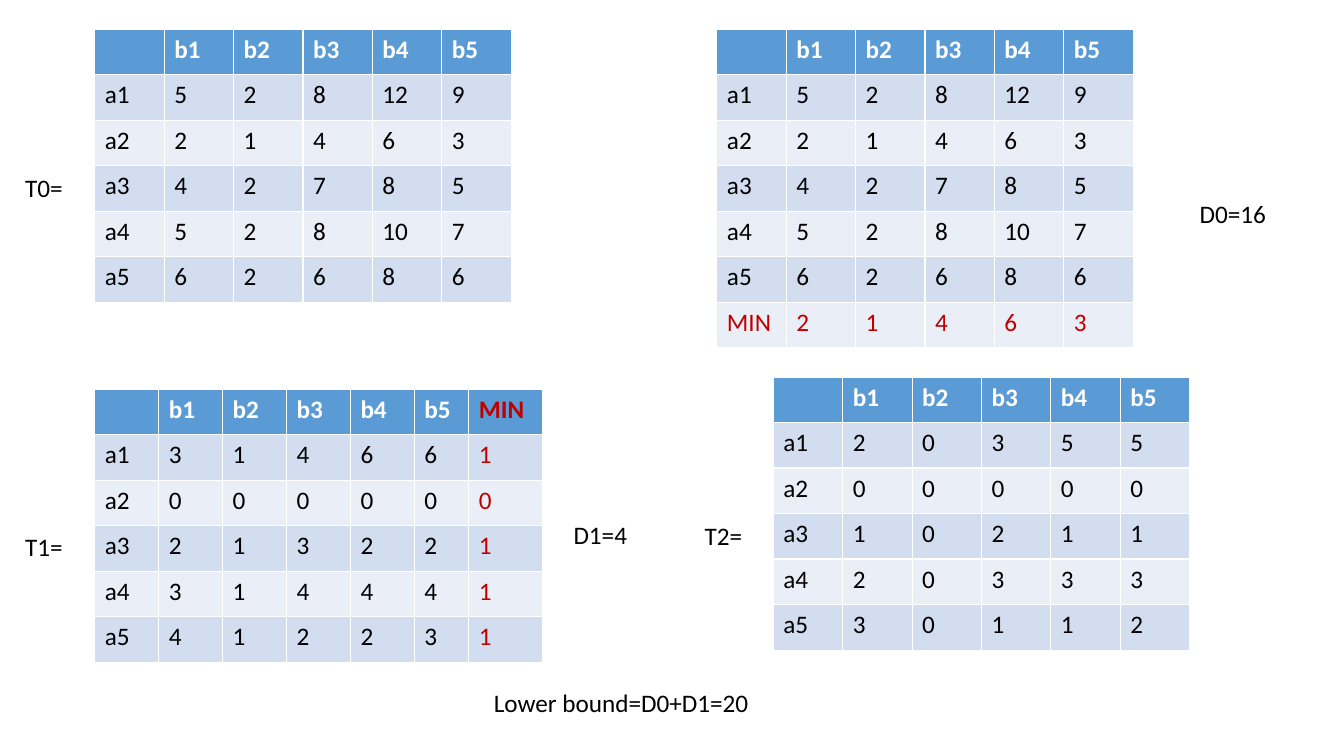
"""Build a slide of matrix reduction tables that lead to a lower bound."""
from pptx import Presentation
from pptx.dml.color import RGBColor
from pptx.enum.text import MSO_AUTO_SIZE as AutoSize
from pptx.util import Inches, Pt

HEADER_BLUE = RGBColor(0x5B, 0x9B, 0xD5)
BAND_DARK = RGBColor(0xD2, 0xDE, 0xEF)
BAND_LIGHT = RGBColor(0xEA, 0xEF, 0xF7)
WHITE = RGBColor(0xFF, 0xFF, 0xFF)
BLACK = RGBColor(0x00, 0x00, 0x00)
MIN_RED = RGBColor(0xC0, 0x00, 0x00)

HEADINGS = ["", "b1", "b2", "b3", "b4", "b5"]
T0 = [
    HEADINGS,
    ["a1", 5, 2, 8, 12, 9],
    ["a2", 2, 1, 4, 6, 3],
    ["a3", 4, 2, 7, 8, 5],
    ["a4", 5, 2, 8, 10, 7],
    ["a5", 6, 2, 6, 8, 6],
]
T0_MINIMA = T0 + [["MIN", 2, 1, 4, 6, 3]]
T1 = [
    HEADINGS + ["MIN"],
    ["a1", 3, 1, 4, 6, 6, 1],
    ["a2", 0, 0, 0, 0, 0, 0],
    ["a3", 2, 1, 3, 2, 2, 1],
    ["a4", 3, 1, 4, 4, 4, 1],
    ["a5", 4, 1, 2, 2, 3, 1],
]
T2 = [
    HEADINGS,
    ["a1", 2, 0, 3, 5, 5],
    ["a2", 0, 0, 0, 0, 0],
    ["a3", 1, 0, 2, 1, 1],
    ["a4", 2, 0, 3, 3, 3],
    ["a5", 3, 0, 1, 1, 2],
]

EVEN_COLUMNS = [4.13 / 6] * 6
T1_COLUMNS = [(4.44 - 0.54 - 0.73) / 5] * 5 + [0.54, 0.73]
ROW_HEIGHT = 2.71 / 6
MATRICES = [
    (T0, 0.94, 0.29, EVEN_COLUMNS),
    (T0_MINIMA, 7.11, 0.29, EVEN_COLUMNS),
    (T1, 0.94, 3.86, T1_COLUMNS),
    (T2, 7.67, 3.74, EVEN_COLUMNS),
]
LABEL_HEIGHT = 0.4
LABELS = [
    ("T0=", 0.15, 1.66, 0.58),
    ("T1=", 0.15, 5.22, 0.58),
    ("T2=", 6.89, 5.11, 0.58),
    ("D0=16", 11.8, 1.92, 0.87),
    ("D1=4", 5.59, 5.1, 0.74),
    ("Lower bound=D0+D1=20", 4.8, 6.77, 2.76),
]
BASE_FONT = {"name": "Calibri", "size": Pt(18), "bold": False}


def write(frame, text, color, **changes):
    paragraph = frame.paragraphs[0]
    run = paragraph.add_run()
    run.text = str(text)
    for attribute, value in {**BASE_FONT, **changes}.items():
        setattr(run.font, attribute, value)
    run.font.color.rgb = color


def add_matrix(slide, rows, left, top, widths):
    table = slide.shapes.add_table(
        len(rows), len(widths), Inches(left), Inches(top),
        Inches(sum(widths)), Inches(ROW_HEIGHT * len(rows))).table
    for column, width in zip(table.columns, widths):
        column.width = Inches(width)
    for r, row in enumerate(rows):
        is_header = r == 0
        band = HEADER_BLUE if is_header else BAND_DARK if r % 2 else BAND_LIGHT
        for c, value in enumerate(row):
            cell = table.cell(r, c)
            cell.fill.solid()
            cell.fill.fore_color.rgb = band
            is_minimum = "MIN" in (row[0], rows[0][c])
            color = MIN_RED if is_minimum else WHITE if is_header else BLACK
            if value != "":
                write(cell.text_frame, value, color, bold=is_header)


def add_label(slide, text, left, top, width):
    frame = slide.shapes.add_textbox(
        Inches(left), Inches(top), Inches(width), Inches(LABEL_HEIGHT)).text_frame
    frame.word_wrap = False
    frame.auto_size = AutoSize.SHAPE_TO_FIT_TEXT
    write(frame, text, BLACK)


def main():
    deck = Presentation()
    deck.slide_width, deck.slide_height = Inches(13.33), Inches(7.5)
    slide = deck.slides.add_slide(deck.slide_layouts[6])
    for matrix in MATRICES:
        add_matrix(slide, *matrix)
    for label in LABELS:
        add_label(slide, *label)
    deck.save("out.pptx")


if __name__ == "__main__":
    main()
